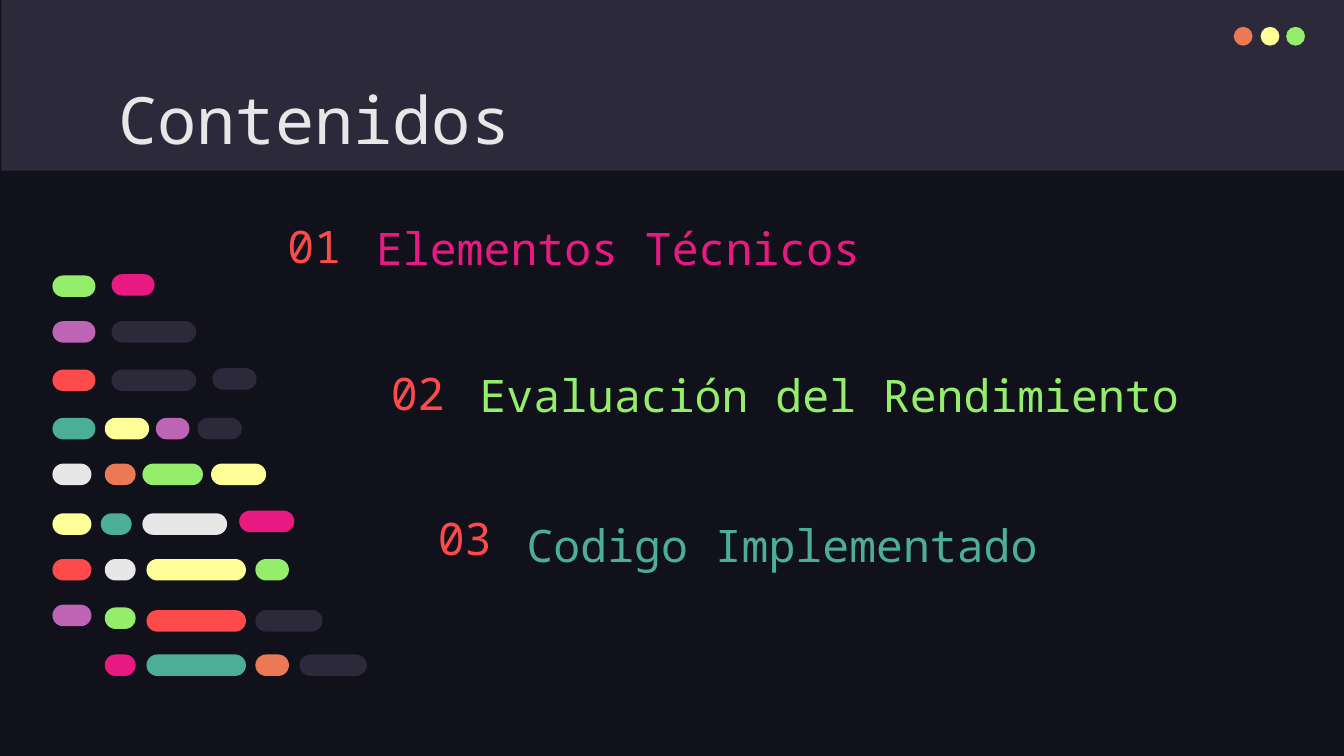
from pptx import Presentation
from pptx.dml.color import RGBColor
from pptx.enum.shapes import MSO_SHAPE as Shape
from pptx.enum.text import MSO_ANCHOR as Anchor, MSO_AUTO_SIZE as AutoSize, PP_ALIGN as Align
from pptx.util import Emu, Pt

PX = 9144  # 100 px to the inch
FONT = "Noto Sans Mono"
INSET = 10
NIGHT, SLATE, WHITE = "10111A", "2C293A", "E7E7E7"
RED, ORANGE, YELLOW, GREEN = "FD4A4A", "EC7955", "FFFF99", "94EE6B"
TEAL, PURPLE, PINK = "4CAE97", "BD64B5", "E81A81"

BAR_HEIGHT = 16
# Each row: top, then (left, width, colour, optional downward shift) per bar
CODE_ROWS = [
    (0, [(0, 32, GREEN, 1), (44, 32, PINK)]),
    (35, [(0, 32, PURPLE), (44, 63, SLATE)]),
    (71, [(0, 32, RED), (44, 63, SLATE), (119, 33, SLATE, -1)]),
    (107, [(0, 32, TEAL), (39, 33, YELLOW), (77, 25, PURPLE), (108, 33, SLATE)]),
    (141, [(0, 29, WHITE), (39, 23, ORANGE), (67, 45, GREEN), (118, 41, YELLOW)]),
    (178, [(0, 29, YELLOW), (36, 23, TEAL), (67, 63, WHITE), (139, 41, PINK, -2)]),
    (212, [(0, 29, RED), (39, 23, WHITE), (70, 74, YELLOW), (151, 25, GREEN)]),
    (246, [(0, 29, PURPLE), (39, 23, GREEN, 2), (70, 74, RED, 4), (151, 50, SLATE, 4)]),
    (283, [(39, 23, PINK), (70, 74, TEAL), (151, 25, ORANGE), (184, 50, SLATE)]),
]

# left, top, number height, label width, label, colour
TOPICS = [
    (204, 161, 43, 460, "Elementos Técnicos", PINK),
    (281, 271, 43, 595, "Evaluación del Rendimiento", GREEN),
    (316, 382, 36, 460, "Codigo Implementado", TEAL),
]


def px(value):
    return Emu(value * PX)


def rgb(value):
    return RGBColor.from_string(value)


def add_block(shapes, kind, box, colour):
    block = shapes.add_shape(kind, *map(px, box))
    block.shadow.inherit = False
    block.fill.solid()
    block.fill.fore_color.rgb = rgb(colour)
    block.line.fill.background()
    return block


def write(shape, text, size, colour, anchor, spacing=1.0):
    frame = shape.text_frame
    settings = {"word_wrap": True, "auto_size": AutoSize.NONE, "vertical_anchor": anchor}
    settings |= {f"margin_{side}": px(INSET) for side in ("left", "top", "right", "bottom")}
    for name, value in settings.items():
        setattr(frame, name, value)
    para = frame.paragraphs[0]
    para.alignment = Align.LEFT
    para.line_spacing = spacing
    span = para.add_run()
    span.text = text
    for name, value in {"name": FONT, "size": Pt(size), "bold": False}.items():
        setattr(span.font, name, value)
    span.font.color.rgb = rgb(colour)


def add_header(page, box, text):
    left, top, width, height = box
    title = page.shapes.title
    band = add_block(page.shapes, Shape.RECTANGLE, box, SLATE)
    dots = page.shapes.add_group_shape()
    for index, colour in enumerate((ORANGE, YELLOW, GREEN)):
        dot_left = left + 917 + round(index * 19.5)
        add_block(dots.shapes, Shape.OVAL, (dot_left, top + 20, 14, 14), colour)
    for part in (band, dots):  # keep the title in front
        title.element.addprevious(part.element)
    title.left, title.top = px(left + 77), px(top + 49)
    title.width, title.height = px(843), px(63)
    write(title, text, 35, WHITE, Anchor.TOP)


def add_code_art(page, left, top):
    art = page.shapes.add_group_shape()
    for row_top, bars in CODE_ROWS:
        for bar_left, width, colour, *shift in bars:
            box = (left + bar_left, top + row_top + sum(shift), width, BAR_HEIGHT)
            bar = add_block(art.shapes, Shape.ROUNDED_RECTANGLE, box, colour)
            bar.adjustments[0] = 0.5


def add_topic(page, number, left, top, number_height, label_width, label, colour):
    number_width = 66
    number_box = page.shapes.add_textbox(*map(px, (left, top, number_width, number_height)))
    write(number_box, f"{number:02}", 24, RED, Anchor.MIDDLE)
    label_box = page.shapes.add_textbox(*map(px, (left + number_width, top, label_width, 53)))
    write(label_box, label, 24, colour, Anchor.BOTTOM, 1.15)


def main():
    deck = Presentation()
    deck.slide_width = px(1000)
    deck.slide_height = deck.slide_width * 9 // 16
    page = deck.slides.add_slide(deck.slide_layouts.get_by_name("Title Only"))
    page.background.fill.solid()
    page.background.fill.fore_color.rgb = rgb(NIGHT)
    add_header(page, (1, 0, 1000, 127), "Contenidos")
    for number, topic in enumerate(TOPICS, 1):
        add_topic(page, number, *topic)
    add_code_art(page, 39, 204)
    deck.save("out.pptx")


if __name__ == "__main__":
    main()
